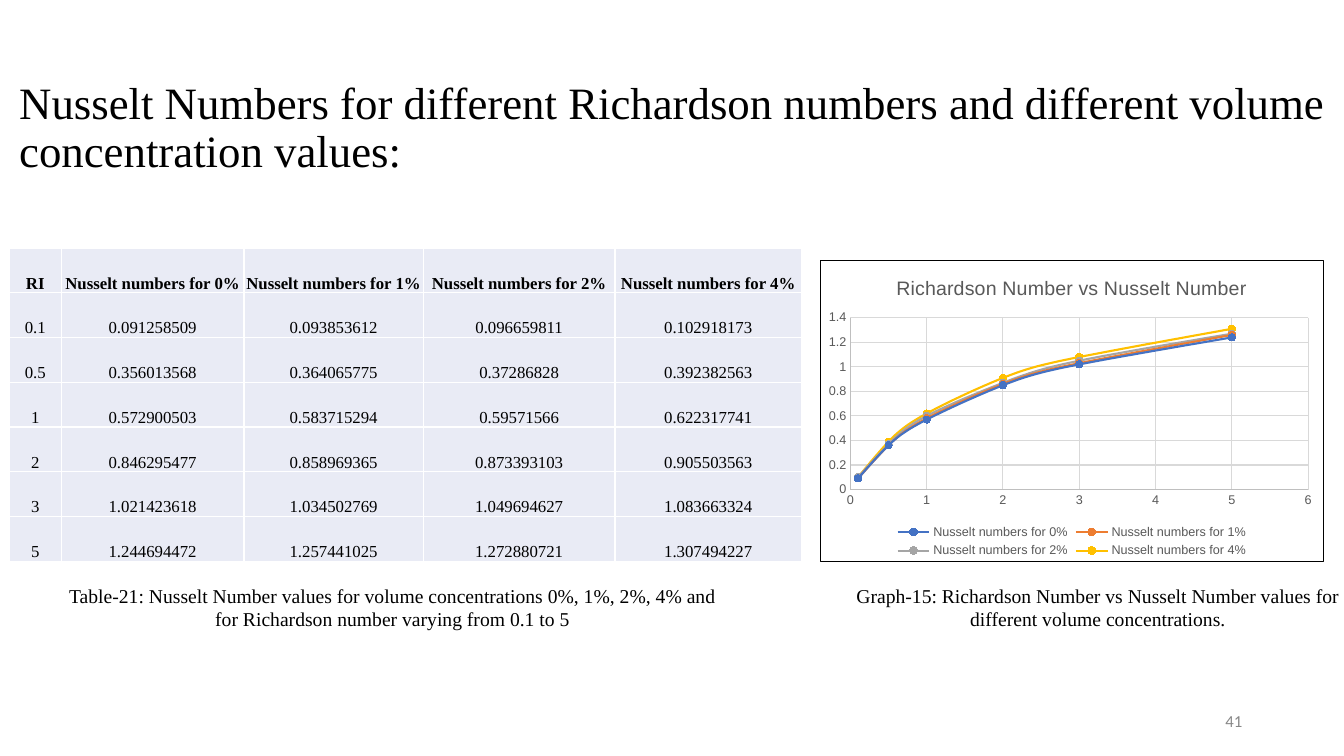
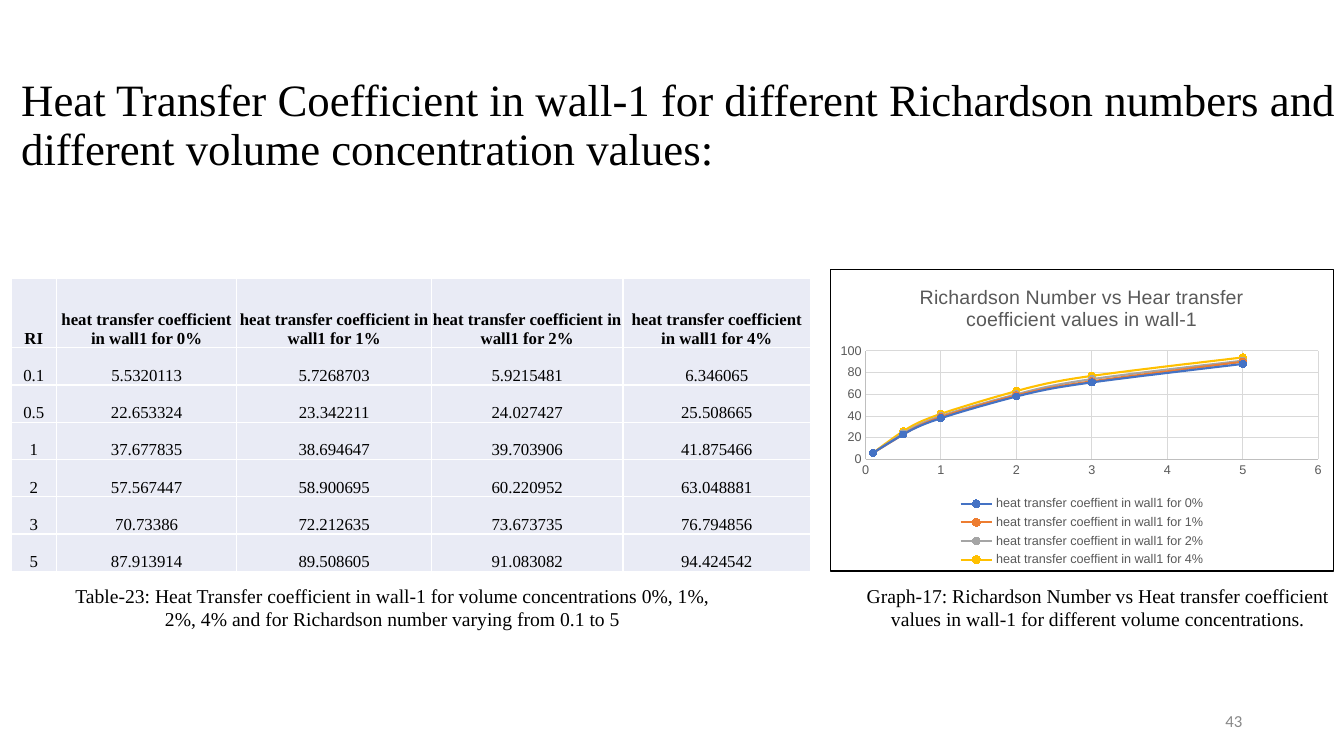
from dataclasses import dataclass

from lxml.etree import SubElement
from pptx import Presentation
from pptx.chart.data import XyChartData
from pptx.dml.color import RGBColor
from pptx.enum.chart import (XL_CHART_TYPE, XL_LEGEND_POSITION,
                             XL_MARKER_STYLE, XL_TICK_MARK)
from pptx.enum.text import MSO_ANCHOR, MSO_AUTO_SIZE, PP_ALIGN
from pptx.oxml import parse_xml
from pptx.oxml.ns import nsdecls, qn
from pptx.util import Inches, Pt


# Colours, fonts and type sizes
@dataclass(frozen=True)
class Theme:
    serif: str = "Times New Roman"
    sans: str = "Arial"
    foot: str = "Calibri"
    black: str = "000000"
    grey: str = "595959"
    pale: str = "888888"
    axis: str = "BFBFBF"
    grid: str = "D9D9D9"
    cell: str = "E9EBF5"
    white: str = "FFFFFF"
    lines: tuple = ("4472C4", "ED7D31", "A5A5A5", "FFC000")
    title: int = 32
    note: int = 14
    body: int = 12
    key: int = 10
    small: int = 9


THEME = Theme()


def color(code):
    return RGBColor.from_string(code)


def style(font, face, size, code, bold=False):
    font.name, font.size, font.bold = face, Pt(size), bold
    font.color.rgb = color(code)


def stroke(line, code, width):
    line.color.rgb = color(code)
    line.width = Pt(width)


def place(shape, box):
    shape.left, shape.top, shape.width, shape.height = map(Inches, box)


class Deck:
    def __init__(self, theme):
        self.theme = theme
        self.deck = Presentation()
        self.deck.slide_width = Inches(13.33)
        self.deck.slide_height = Inches(7.5)
        self.slide = None

    def start(self):
        self.slide = self.deck.slides.add_slide(self.deck.slide_layouts[5])

    def label(self, frame, text, face, size, code, align, bold=False):
        par = frame.paragraphs[0]
        par.alignment = align
        run = par.add_run()
        run.text = text
        style(run.font, face, size, code, bold)
        return par

    def title(self, text, box):
        shape = self.slide.shapes.title
        place(shape, box)
        frame = shape.text_frame
        frame.word_wrap = True
        frame.auto_size = MSO_AUTO_SIZE.NONE
        frame.vertical_anchor = MSO_ANCHOR.MIDDLE
        par = self.label(frame, text, self.theme.serif, self.theme.title,
                         self.theme.black, PP_ALIGN.LEFT)
        par.line_spacing = 0.9

    def text(self, box):
        frame = self.slide.shapes.add_textbox(*map(Inches, box)).text_frame
        frame.word_wrap = True
        return frame

    def note(self, text, box):
        self.label(self.text(box), text, self.theme.serif, self.theme.note,
                   self.theme.black, PP_ALIGN.CENTER)

    def number(self, text):
        frame = self.text((9.42, 6.95, 3, 0.4))
        frame.vertical_anchor = MSO_ANCHOR.MIDDLE
        self.label(frame, text, self.theme.foot, self.theme.body,
                   self.theme.pale, PP_ALIGN.RIGHT)

    def border(self, cell):
        props = cell._tc.get_or_add_tcPr()
        for side in ("a:lnL", "a:lnR", "a:lnT", "a:lnB"):
            line = SubElement(props, qn(side), w=str(Pt(1)))
            fill = SubElement(line, qn("a:solidFill"))
            SubElement(fill, qn("a:srgbClr"), val=self.theme.white)

    def table(self, rows, spot, wide, high):
        frame = self.slide.shapes.add_table(
            len(rows), len(wide), *map(Inches, (*spot, sum(wide), sum(high))))
        table = frame.table
        table.first_row = table.horz_banding = False
        for col, size in zip(table.columns, wide):
            col.width = Inches(size)
        for row, size in zip(table.rows, high):
            row.height = Inches(size)
        for r, row in enumerate(rows):
            for c, value in enumerate(row):
                cell = table.cell(r, c)
                self.border(cell)
                cell.fill.solid()
                cell.fill.fore_color.rgb = color(self.theme.cell)
                cell.vertical_anchor = MSO_ANCHOR.BOTTOM
                cell.margin_left = cell.margin_right = Inches(0.01)
                cell.margin_top, cell.margin_bottom = Inches(0.01), 0
                self.label(cell.text_frame, str(value), self.theme.serif,
                           self.theme.body, self.theme.black,
                           PP_ALIGN.CENTER, bold=r == 0)

    def scale(self, axis, top, step):
        axis.minimum_scale, axis.maximum_scale = 0, top
        axis.major_unit = step
        axis.major_tick_mark = axis.minor_tick_mark = XL_TICK_MARK.NONE
        axis.has_major_gridlines = True
        stroke(axis.major_gridlines.format.line, self.theme.grid, 0.75)
        stroke(axis.format.line, self.theme.axis, 0.75)
        labels = axis.tick_labels
        labels.number_format, labels.number_format_is_linked = "General", False
        style(labels.font, self.theme.sans, self.theme.small, self.theme.grey)

    def frame(self, chart, plot):
        # Outer border of the chart
        chart.element.find(qn("c:chart")).addnext(parse_xml(
            f'<c:spPr {nsdecls("c", "a")}><a:solidFill><a:srgbClr '
            f'val="{self.theme.white}"/></a:solidFill><a:ln w="{Pt(0.75)}">'
            f'<a:solidFill><a:srgbClr val="{self.theme.black}"/>'
            '</a:solidFill></a:ln></c:spPr>'))
        # Inner plot area, as shares of the chart
        area = chart.element.find(".//" + qn("c:plotArea"))
        for old in area.findall(qn("c:layout")):
            area.remove(old)
        parts = "".join(f'<c:{key} val="{val}"/>'
                        for key, val in zip("xywh", plot))
        area.insert(0, parse_xml(
            f'<c:layout {nsdecls("c")}><c:manualLayout>'
            '<c:layoutTarget val="inner"/><c:xMode val="edge"/>'
            f'<c:yMode val="edge"/>{parts}</c:manualLayout></c:layout>'))

    def chart(self, title, names, xs, cols, spot, top, step, plot):
        data = XyChartData()
        for name, ys in zip(names, cols):
            line = data.add_series(name)
            for x, y in zip(xs, ys):
                line.add_data_point(x, y)
        chart = self.slide.shapes.add_chart(
            XL_CHART_TYPE.XY_SCATTER_SMOOTH, *map(Inches, (*spot, 5, 3)),
            data).chart
        style(chart.font, self.theme.sans, self.theme.key, self.theme.black)
        chart.has_title = True
        self.label(chart.chart_title.text_frame, title, self.theme.sans,
                   self.theme.note, self.theme.grey, PP_ALIGN.CENTER)
        chart.has_legend = True
        chart.legend.position = XL_LEGEND_POSITION.BOTTOM
        chart.legend.include_in_layout = False
        style(chart.legend.font, self.theme.sans, self.theme.small,
              self.theme.grey)
        self.scale(chart.category_axis, 6, 1)
        self.scale(chart.value_axis, top, step)
        chart.plots[0].vary_by_categories = False
        for line, code in zip(chart.plots[0].series, self.theme.lines):
            line._element.get_or_add_smooth().val = True
            stroke(line.format.line, code, 1.5)
            mark = line.marker
            mark.style, mark.size = XL_MARKER_STYLE.CIRCLE, 5
            mark.format.fill.solid()
            mark.format.fill.fore_color.rgb = color(code)
            stroke(mark.format.line, code, 0.75)
        self.frame(chart, plot)


# Data
RI = (0.1, 0.5, 1, 2, 3, 5)
SHARES = (0, 1, 2, 4)

PAGES = (
    dict(
        title="Nusselt Numbers for different Richardson numbers and "
              "different volume concentration values:",
        box=(0.09, 0.85, 13.42, 0.86), number="41",
        head="Nusselt numbers for", key="Nusselt numbers for",
        spot=(0.09, 2.46), wide=(0.52, 1.81, 1.78, 1.9, 1.85),
        high=(3.11 / 7,) * 7,
        cols=(
            (0.091258509, 0.356013568, 0.572900503,
             0.846295477, 1.021423618, 1.244694472),
            (0.093853612, 0.364065775, 0.583715294,
             0.858969365, 1.034502769, 1.257441025),
            (0.096659811, 0.37286828, 0.59571566,
             0.873393103, 1.049694627, 1.272880721),
            (0.102918173, 0.392382563, 0.622317741,
             0.905503563, 1.083663324, 1.307494227)),
        chart="Richardson Number vs Nusselt Number", place=(8.13, 2.58),
        digits=2, top=1.4, step=0.2, plot=(0.06, 0.19, 0.91, 0.57),
        left="Table-21: Nusselt Number values for volume concentrations "
             "0%, 1%, 2%, 4% and for Richardson number varying from 0.1 to 5",
        right="Graph-15: Richardson Number vs Nusselt Number values for "
              "different volume concentrations."),
    dict(
        title="Heat Transfer Coefficient in wall-1 for different Richardson "
              "numbers and different volume concentration values:",
        box=(0.11, 0.62, 13.35, 1.27), number="43",
        head="heat transfer coefficient in wall1 for",
        key="heat transfer coeffient in wall1 for",
        spot=(0.11, 2.76), wide=(0.45, 1.79, 1.93, 1.9, 1.86),
        high=(0.69,) + (0.37,) * 6,
        cols=(
            (5.5320113, 22.653324, 37.677835, 57.567447, 70.73386, 87.913914),
            (5.7268703, 23.342211, 38.694647, 58.900695, 72.212635, 89.508605),
            (5.9215481, 24.027427, 39.703906, 60.220952, 73.673735, 91.083082),
            (6.346065, 25.508665, 41.875466, 63.048881, 76.794856, 94.424542)),
        chart="Richardson Number vs Hear transfer coefficient values in wall-1",
        place=(8.23, 2.67),
        digits=0, top=100, step=20, plot=(0.07, 0.27, 0.9, 0.36),
        left="Table-23: Heat Transfer coefficient in wall-1 for volume "
             "concentrations 0%, 1%, 2%, 4% and for Richardson number "
             "varying from 0.1 to 5",
        right="Graph-17: Richardson Number vs Heat transfer coefficient "
              "values in wall-1 for different volume concentrations."),
)


def main():
    deck = Deck(THEME)
    for page in PAGES:
        deck.start()
        deck.title(page["title"], page["box"])
        deck.number(page["number"])

        # Table and its caption
        heads = ["RI"] + [f"{page['head']} {n}%" for n in SHARES]
        rows = [heads, *zip(RI, *page["cols"])]
        deck.table(rows, page["spot"], page["wide"], page["high"])
        deck.note(page["left"], (0.56, 5.74, 6.67, 0.57))

        # Chart and its caption
        names = [f"{page['key']} {n}%" for n in SHARES]
        cols = [[round(y, page["digits"]) for y in col]
                for col in page["cols"]]
        deck.chart(page["chart"], names, RI, cols, page["place"],
                   page["top"], page["step"], page["plot"])
        deck.note(page["right"], (8.33, 5.74, 5.12, 0.57))
    deck.deck.save("out.pptx")


if __name__ == "__main__":
    main()
